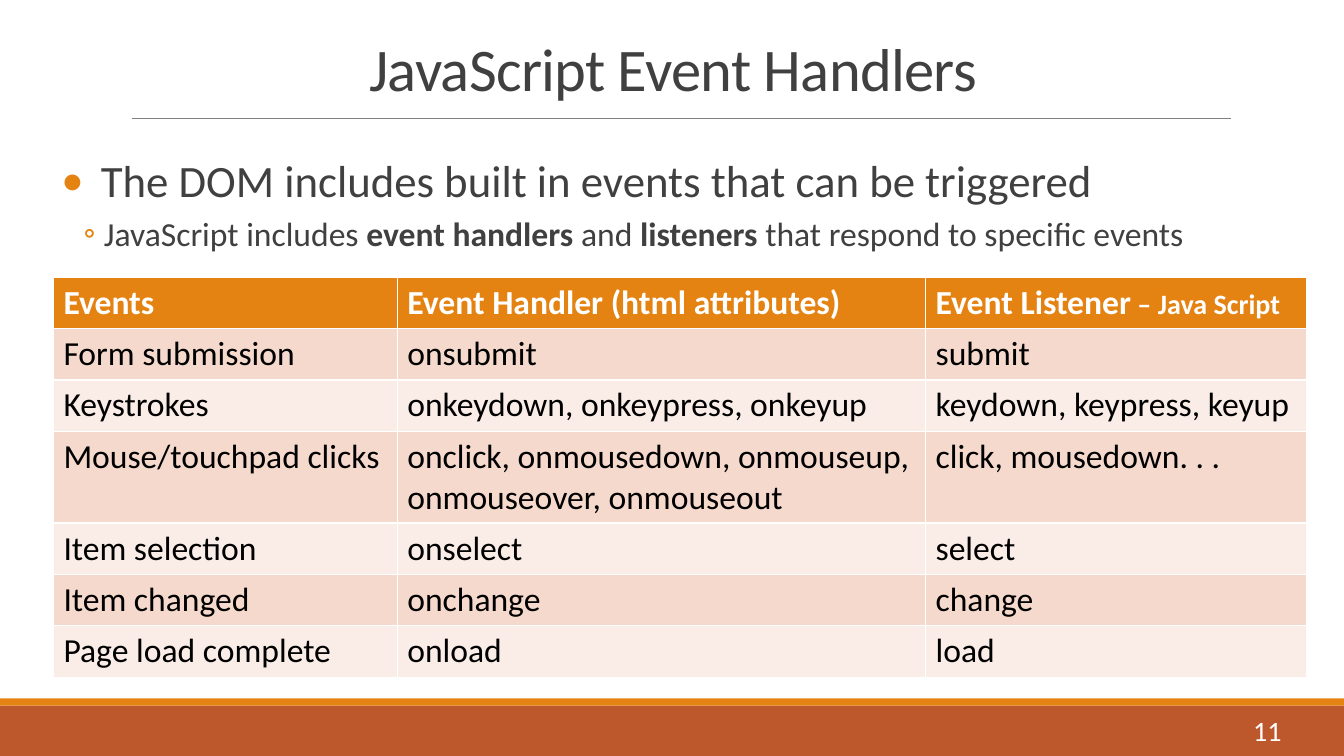
import pptx
import pptx.dml.color
import pptx.enum.shapes
import pptx.enum.text
import pptx.oxml.ns
import pptx.util
from lxml import etree

Inches, Pt = pptx.util.Inches, pptx.util.Pt
ALIGN, ANCHOR = pptx.enum.text.PP_ALIGN, pptx.enum.text.MSO_ANCHOR
COLORS = {
    "text": "404040", "black": "000000", "white": "FFFFFF", "rule": "808080",
    "orange": "E48312", "rust": "BD582C", "dark band": "F5D9CC", "light band": "FAEDE7",
}
LEFT, TEXT_WIDTH = 0.53, 12.29


def rgb(name):
    """Return the named colour."""
    return pptx.dml.color.RGBColor.from_string(COLORS[name])


def add_child(parent, tag, **attributes):
    """Append a DrawingML element to a parent element."""
    child = etree.SubElement(parent, pptx.oxml.ns.qn(tag))
    for key, value in attributes.items():
        child.set(key, str(value))
    return child


class SlideBuilder:
    """Holds the style and the current slide."""

    def __init__(self, page, font="Calibri"):
        """Keep the page to draw on and its font."""
        self.page, self.font = page, font

    def bar(self, top, height, color):
        """Add a full-width filled bar."""
        bar = self.page.shapes.add_shape(
            pptx.enum.shapes.MSO_SHAPE.RECTANGLE, 0, Inches(top), Inches(13.33), Inches(height))
        bar.shadow.inherit = False
        bar.fill.solid()
        bar.fill.fore_color.rgb = rgb(color)
        bar.line.fill.background()

    def rule(self, left, right, top):
        """Add a thin horizontal line."""
        line = self.page.shapes.add_connector(
            pptx.enum.shapes.MSO_CONNECTOR.STRAIGHT,
            Inches(left), Inches(top), Inches(right), Inches(top))
        line.line.color.rgb = rgb("rule")
        line.line.width = Pt(0.5)
        add_child(line._element.spPr, "a:effectLst")

    def text_box(self, left, top, width, height, anchor=ANCHOR.TOP):
        """Add an empty wrapping text box and return its text frame."""
        box = self.page.shapes.add_textbox(
            Inches(left), Inches(top), Inches(width), Inches(height))
        frame = box.text_frame
        frame.word_wrap = True
        frame.vertical_anchor = anchor
        return frame

    def add_spans(self, para, spans, size, color, align=ALIGN.LEFT):
        """Fill a paragraph with (text, bold, size or None) spans."""
        para.alignment = align
        for text, bold, own_size in spans:
            span = para.add_run()
            span.text = text
            span.font.name, span.font.bold = self.font, bold
            span.font.size = Pt(own_size or size)
            span.font.color.rgb = rgb(color)

    def bullet(self, para, mark, margin, hanging, before, after):
        """Give a paragraph a coloured bullet, an indent and spacing."""
        para.space_before, para.space_after = Pt(before), Pt(after)
        properties = para._p.get_or_add_pPr()
        properties.set("marL", str(Inches(margin)))
        properties.set("indent", str(-Inches(hanging)))
        add_child(add_child(properties, "a:buClr"), "a:srgbClr", val=COLORS["orange"])
        add_child(properties, "a:buFont", typeface=self.font)
        add_child(properties, "a:buChar", char=mark)

    def table(self, left, top, widths, heights, header, rows):
        """Add a table with a header row and banded body rows."""
        table = self.page.shapes.add_table(
            len(heights), len(widths), Inches(left), Inches(top),
            Inches(sum(widths)), Inches(sum(heights))).table
        for column, width in zip(table.columns, widths):
            column.width = Inches(width)
        for row, height in zip(table.rows, heights):
            row.height = Inches(height)
        for index, spans in enumerate(header):
            self.cell(table.cell(0, index), [spans], "orange", "white")
        for number, row in enumerate(rows, 1):
            band = "dark band" if number % 2 else "light band"
            for index, text in enumerate(row):
                lines = [[(line, False, None)] for line in text.split("\n")]
                self.cell(table.cell(number, index), lines, band, "black")

    def cell(self, cell, lines, fill, color):
        """Fill one table cell with a paragraph per line."""
        cell.fill.solid()
        cell.fill.fore_color.rgb = rgb(fill)
        frame = cell.text_frame
        for number, spans in enumerate(lines):
            para = frame.add_paragraph() if number else frame.paragraphs[0]
            self.add_spans(para, spans, 24, color)


HEADER = [
    [("Events", True, None)],
    [("Event Handler (html attributes)", True, None)],
    [("Event Listener", True, None), (" – Java Script", True, 20)],
]
EVENTS = [
    ("Form submission", "onsubmit", "submit"),
    ("Keystrokes", "onkeydown, onkeypress, onkeyup", "keydown, keypress, keyup"),
    ("Mouse/touchpad clicks", "onclick, onmousedown, onmouseup,\nonmouseover, onmouseout",
     "click, mousedown. . ."),
    ("Item selection", "onselect", "select"),
    ("Item changed", "onchange", "change"),
    ("Page load complete", "onload", "load"),
]

deck = pptx.Presentation()
deck.slide_width, deck.slide_height = Inches(13.33), Inches(7.5)
builder = SlideBuilder(deck.slides.add_slide(deck.slide_layouts[6]))

builder.bar(7, 0.5, "rust")
builder.bar(6.93, 0.07, "orange")
builder.rule(1.31, 12.21, 1.17)

title = builder.text_box(LEFT, 0.31, TEXT_WIDTH, 0.77, ANCHOR.BOTTOM).paragraphs[0]
title.line_spacing = 0.85
builder.add_spans(title, [("JavaScript Event Handlers", False, None)], 43.2, "text", ALIGN.CENTER)
title.runs[0].font._element.set("spc", "-50")

body = builder.text_box(LEFT, 1.47, TEXT_WIDTH, 1.2)
body.margin_left, body.margin_right = Inches(0.08), 0
point = body.paragraphs[0]
builder.add_spans(point, [("The DOM includes built in events that can be triggered", False, None)],
                  32, "text")
builder.bullet(point, "•", 0.39, 0.39, 12, 2)
detail = body.add_paragraph()
detail.level = 1
builder.add_spans(detail, [
    ("JavaScript includes ", False, None), ("event handlers", True, None),
    (" and ", False, None), ("listeners ", True, None),
    ("that respond to specific events", False, None)], 24, "text")
builder.bullet(detail, "◦", 0.42, 0.2, 2, 4)

number = builder.text_box(11.38, 7.05, 1.43, 0.4, ANCHOR.MIDDLE).paragraphs[0]
builder.add_spans(number, [("11", False, None)], 20, "white", ALIGN.RIGHT)

row_heights = [0.91 if any("\n" in text for text in row) else 0.51 for row in [()] + EVENTS]
builder.table(LEFT, 2.75, [3.41, 5.24, 3.78], row_heights, HEADER, EVENTS)

deck.save("out.pptx")
